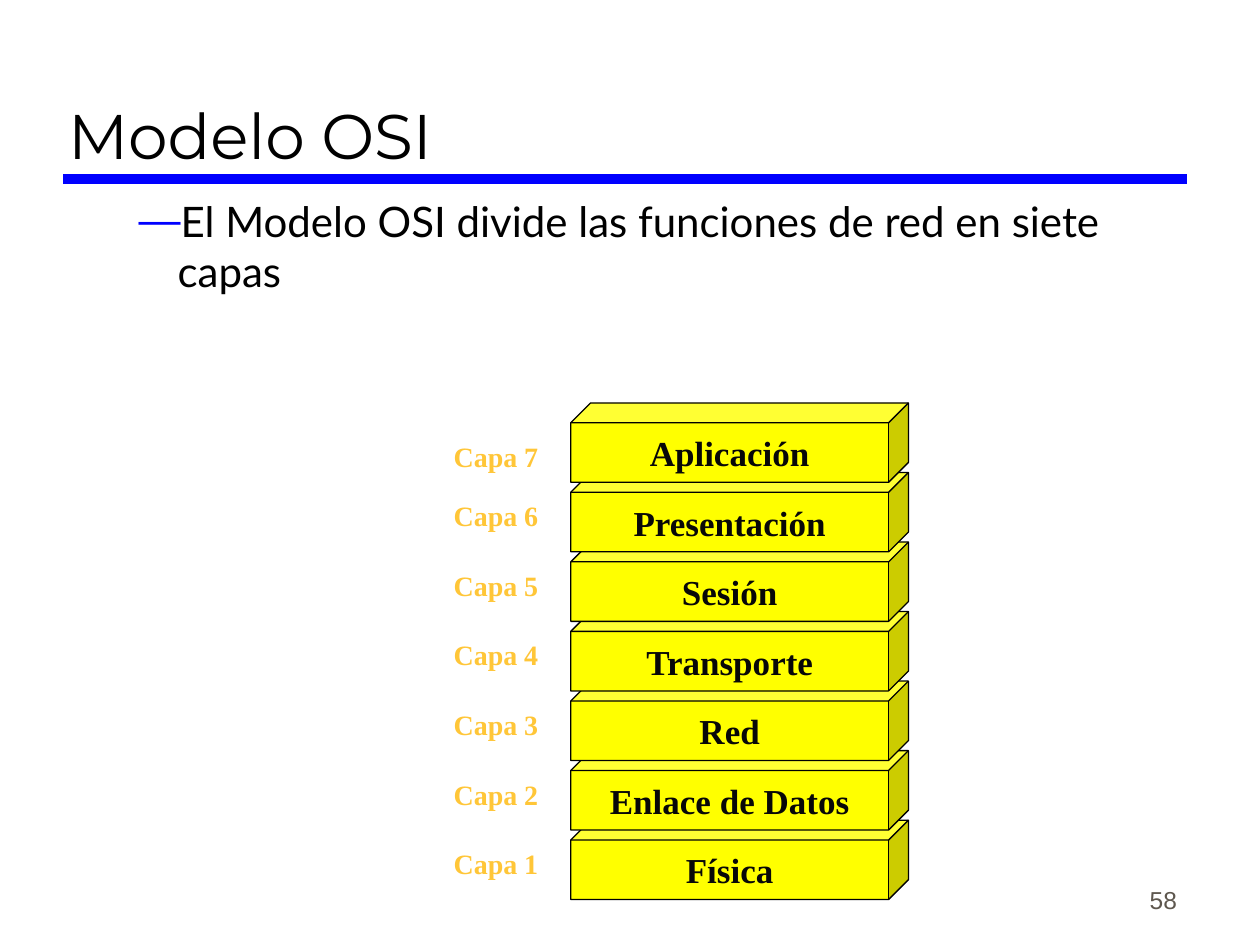
from lxml.etree import SubElement
from pptx import Presentation
from pptx.dml.color import RGBColor
from pptx.enum.shapes import MSO_CONNECTOR, MSO_SHAPE
from pptx.enum.text import MSO_ANCHOR, MSO_AUTO_SIZE, PP_ALIGN
from pptx.oxml.ns import qn
from pptx.util import Inches, Pt

BLACK = RGBColor(0x00, 0x00, 0x00)
NEAR_BLACK = RGBColor(0x08, 0x08, 0x08)
BLUE = RGBColor(0x00, 0x00, 0xFF)
YELLOW = RGBColor(0xFF, 0xFF, 0x00)
GOLD = RGBColor(0xFF, 0xC6, 0x38)
GREY = RGBColor(0x5E, 0x57, 0x4E)

# Content
TITLE = "Modelo OSI"
STATEMENT = "El Modelo OSI divide las funciones de red en siete capas"
LAYERS = ["Física", "Enlace de Datos", "Red", "Transporte", "Sesión",
          "Presentación", "Aplicación"]
PAGE = "58"

# Stack geometry, in inches
CUBE_LEFT, CUBE_WIDTH, CUBE_HEIGHT = 4.53, 2.68, 0.63
BOTTOM_CUBE_TOP, LAYER_STEP = 6.51, 0.552
LABEL_LEFT, LABEL_WIDTH, LABEL_HEIGHT = 2.4, 1.97, 0.37
LABEL_DROP, TOP_LABEL_DROP = 0.16, 0.24


def box(left, top, width, height):
    return Inches(left), Inches(top), Inches(width), Inches(height)


def write(shape, text, font, size, color, align=PP_ALIGN.LEFT, bold=False):
    paragraph = shape.text_frame.paragraphs[0]
    paragraph.text = text
    paragraph.alignment = align
    paragraph.space_before = Pt(0)
    run_font = paragraph.runs[0].font
    run_font.name, run_font.size, run_font.bold = font, Pt(size), bold
    run_font.color.rgb = color
    return paragraph


def place(placeholder, left, top, width, height, anchor):
    placeholder.left, placeholder.top, placeholder.width, placeholder.height = box(
        left, top, width, height)
    placeholder.text_frame.vertical_anchor = anchor
    placeholder.text_frame.auto_size = MSO_AUTO_SIZE.NONE


def add_dash(paragraph):
    properties = paragraph._p.get_or_add_pPr()
    properties.set("marL", str(Inches(0.81)))
    properties.set("indent", str(Inches(-0.31)))
    bullet_color = SubElement(properties, qn("a:buClr"))
    SubElement(bullet_color, qn("a:srgbClr"), val=str(BLUE))
    SubElement(properties, qn("a:buChar"), char="—")


prs = Presentation()
prs.slide_width, prs.slide_height = Inches(10), Inches(7.5)
slide = prs.slides.add_slide(prs.slide_layouts[1])
shapes = slide.shapes

# Rule under the title
rule = shapes.add_connector(MSO_CONNECTOR.STRAIGHT, Inches(0.5), Inches(1.42),
                            Inches(9.42), Inches(1.42))
rule.line.color.rgb = BLUE
rule.line.width = Pt(6)
SubElement(rule._element.spPr, qn("a:effectLst"))

# Title and statement
title, body = shapes.title, slide.placeholders[1]
place(title, 0.44, 0.17, 8.97, 1.25, MSO_ANCHOR.BOTTOM)
write(title, TITLE, "Montserrat", 36, BLACK)
place(body, 0.5, 1.5, 8.94, 5.12, MSO_ANCHOR.TOP)
statement = write(body, STATEMENT, "Lato", 24, BLACK)
statement.level = 1
add_dash(statement)

# Layers, stacked from the bottom up so each overlaps the one below
for number, layer in enumerate(LAYERS, start=1):
    top = BOTTOM_CUBE_TOP - (number - 1) * LAYER_STEP
    cube = shapes.add_shape(MSO_SHAPE.CUBE,
                            *box(CUBE_LEFT, top, CUBE_WIDTH, CUBE_HEIGHT))
    cube.shadow.inherit = False
    cube.fill.solid()
    cube.fill.fore_color.rgb = YELLOW
    cube.line.color.rgb = BLACK
    cube.line.width = Pt(0.75)
    cube.text_frame.word_wrap = False
    cube.text_frame.vertical_anchor = MSO_ANCHOR.MIDDLE
    write(cube, layer, "Times New Roman", 20, NEAR_BLACK, PP_ALIGN.CENTER, True)

    drop = TOP_LABEL_DROP if number == len(LAYERS) else LABEL_DROP
    label = shapes.add_textbox(*box(LABEL_LEFT, top + drop, LABEL_WIDTH, LABEL_HEIGHT))
    label.text_frame.word_wrap = True
    label.text_frame.auto_size = MSO_AUTO_SIZE.SHAPE_TO_FIT_TEXT
    write(label, f"Capa {number}", "Times New Roman", 16, GOLD, PP_ALIGN.RIGHT, True)

# Page number
page = shapes.add_textbox(*box(7.36, 6.81, 2.08, 0.5))
page.text_frame.word_wrap = True
page.text_frame.vertical_anchor = MSO_ANCHOR.BOTTOM
write(page, PAGE, "Arial", 14, GREY, PP_ALIGN.RIGHT)

prs.save("out.pptx")
